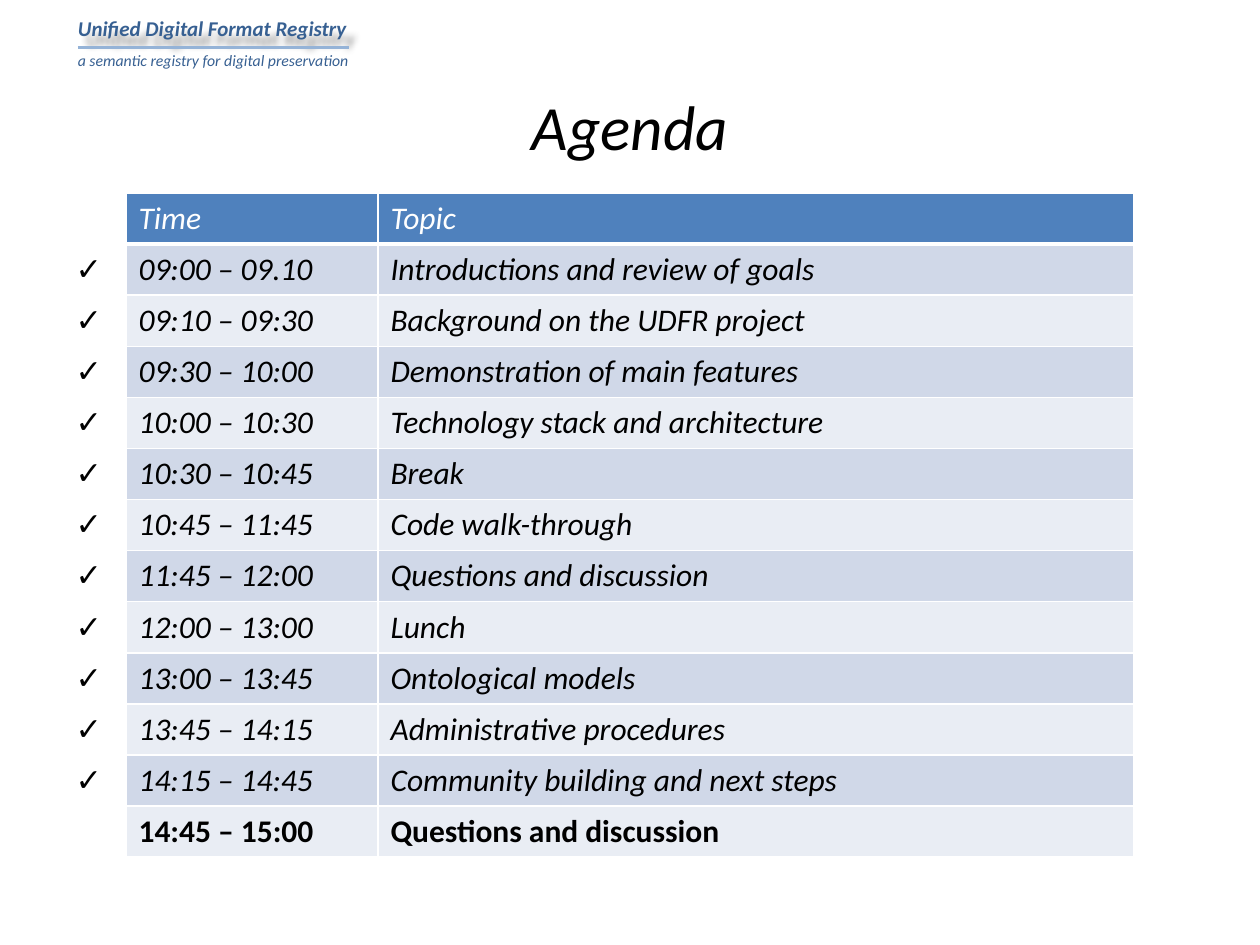
import pptx
import pptx.util
import pptx.dml.color
import pptx.enum.text
import pptx.oxml
import pptx.oxml.ns
import lxml.etree

Cm = pptx.util.Cm
Pt = pptx.util.Pt
RGBColor = pptx.dml.color.RGBColor
ALIGN = pptx.enum.text.PP_ALIGN
ANCHOR = pptx.enum.text.MSO_ANCHOR

NAVY = RGBColor(0x37, 0x60, 0x92)
SKY = RGBColor(0x95, 0xB3, 0xD7)
BLUE = RGBColor(0x4F, 0x81, 0xBD)
DARK_BAND = RGBColor(0xD0, 0xD8, 0xE8)
LIGHT_BAND = RGBColor(0xE9, 0xED, 0xF4)
BLACK = RGBColor(0, 0, 0)
WHITE = RGBColor(255, 255, 255)

BANNER = "Unified Digital Format Registry"
TAGLINE = "a semantic registry for digital preservation"
TITLE = "Agenda"
HEADINGS = ("Time", "Topic")
DONE = [
    ("09:00 – 09.10", "Introductions and review of goals"),
    ("09:10 – 09:30", "Background on the UDFR project"),
    ("09:30 – 10:00", "Demonstration of main features"),
    ("10:00 – 10:30", "Technology stack and architecture"),
    ("10:30 – 10:45", "Break"),
    ("10:45 – 11:45", "Code walk-through"),
    ("11:45 – 12:00", "Questions and discussion"),
    ("12:00 – 13:00", "Lunch"),
    ("13:00 – 13:45", "Ontological models"),
    ("13:45 – 14:15", "Administrative procedures"),
    ("14:15 – 14:45", "Community building and next steps"),
]
CURRENT = ("14:45 – 15:00", "Questions and discussion")
ROWS = [("", *HEADINGS)] + [("✓", *item) for item in DONE] + [("", *CURRENT)]
COLUMN_WIDTHS = (1.27, 5.08, 15.24)
ROW_HEIGHT = 1.03

SHADOW = (
    '<a:effectLst %s><a:outerShdw blurRad="50800" dist="90000" dir="3000000" '
    'algn="tl" rotWithShape="0"><a:srgbClr val="000000"><a:alpha val="40000"/></a:srgbClr>'
    "</a:outerShdw></a:effectLst>"
) % pptx.oxml.ns.nsdecls("a")


def write(frame, text, size, color, **formats):
    para = frame.paragraphs[0]
    span = para.add_run()
    span.text = text
    values = {"name": "Calibri", "size": Pt(size), **formats}
    for name, value in values.items():
        setattr(span.font, name, value)
    span.font.color.rgb = color


def add_text(page, place, text, size, color, **formats):
    box = page.shapes.add_textbox(*map(Cm, place))
    box.text_frame.word_wrap = True
    write(box.text_frame, text, size, color, italic=True, **formats)
    return box


def add_borders(cell, row):
    properties = cell._tc.get_or_add_tcPr()
    widths = {"lnL": 1, "lnR": 1, "lnT": 3 if row == 1 else 1, "lnB": 3 if row == 0 else 1}
    for side, width in widths.items():
        border = lxml.etree.SubElement(properties, pptx.oxml.ns.qn("a:" + side), w=str(int(Pt(width))))
        fill = lxml.etree.SubElement(border, pptx.oxml.ns.qn("a:solidFill"))
        lxml.etree.SubElement(fill, pptx.oxml.ns.qn("a:srgbClr"), val=str(WHITE))


def add_header(page):
    banner = add_text(page, (1.32, 0.18, 6.1, 0.77), BANNER, 12, NAVY, bold=True)
    banner._element.spPr.append(pptx.oxml.parse_xml(SHADOW))
    add_text(page, (1.32, 0.89, 6.4, 0.64), TAGLINE, 9, NAVY)
    rule = page.shapes.add_connector(1, Cm(1.57), Cm(0.96), Cm(7.04), Cm(0.96))
    rule.line.color.rgb = SKY
    rule.line.width = Pt(1.75)
    lxml.etree.SubElement(rule._element.spPr, pptx.oxml.ns.qn("a:effectLst"))


def add_agenda(page):
    frame = page.shapes.add_table(
        len(ROWS), len(COLUMN_WIDTHS), Cm(1.27), Cm(3.89),
        Cm(sum(COLUMN_WIDTHS)), Cm(ROW_HEIGHT * len(ROWS)),
    )
    table = frame.table
    for column, width in zip(table.columns, COLUMN_WIDTHS):
        column.width = Cm(width)
    for row, texts in enumerate(ROWS):
        table.rows[row].height = Cm(ROW_HEIGHT)
        current = row == len(ROWS) - 1
        band = BLUE if row == 0 else (LIGHT_BAND, DARK_BAND)[row % 2]
        for column, text in enumerate(texts):
            cell = table.cell(row, column)
            add_borders(cell, row)
            if column == 0:
                cell.fill.background()
            else:
                cell.fill.solid()
                cell.fill.fore_color.rgb = band
            if text:
                write(cell.text_frame, text, 18, WHITE if row == 0 else BLACK,
                      bold=current, italic=column > 0 and not current)


def main():
    deck = pptx.Presentation()
    deck.slide_width = Cm(25.4)
    deck.slide_height = Cm(19.05)
    page = deck.slides.add_slide(deck.slide_layouts[6])
    add_header(page)
    title = add_text(page, (1.27, 1.47, 22.86, 2.11), TITLE, 36, BLACK)
    title.text_frame.vertical_anchor = ANCHOR.MIDDLE
    title.text_frame.paragraphs[0].alignment = ALIGN.CENTER
    add_agenda(page)
    deck.save("out.pptx")


if __name__ == "__main__":
    main()
